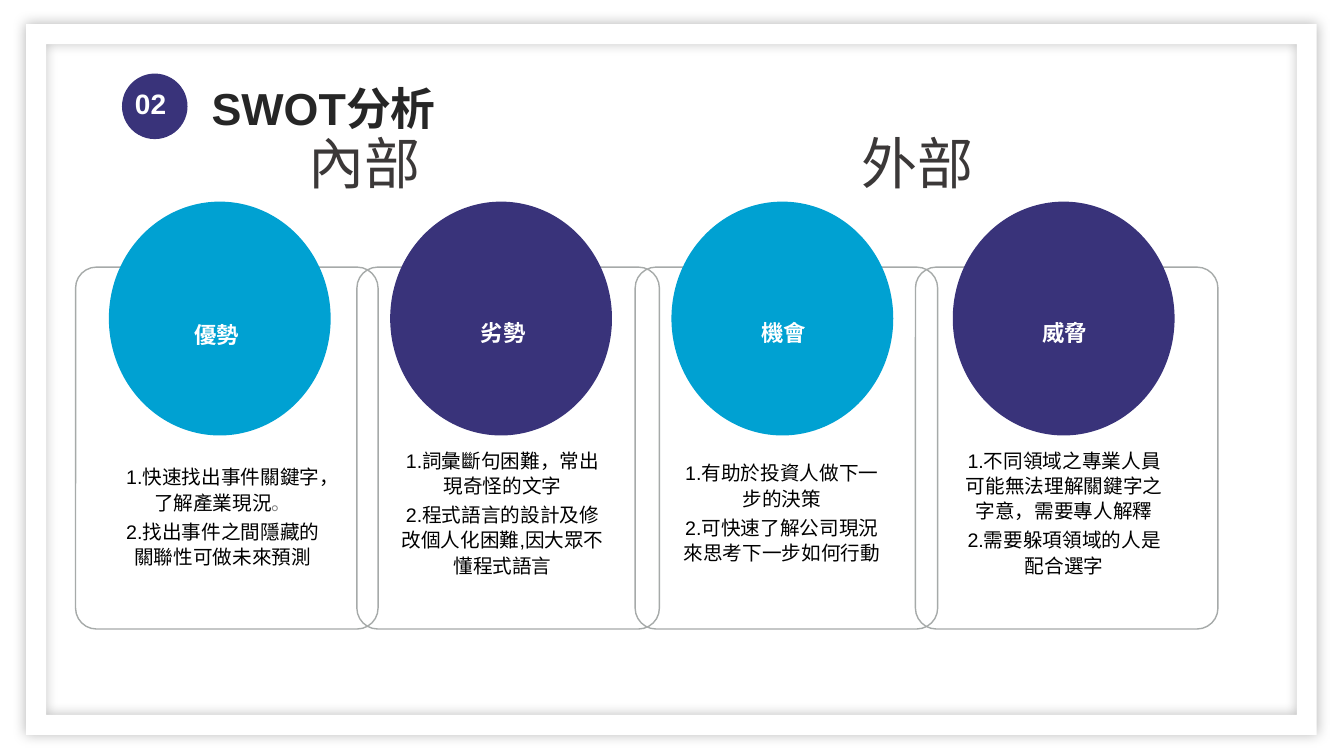
"""Builds the SWOT analysis slide with four overlapping cards."""
from dataclasses import dataclass

from lxml import etree
from pptx import Presentation
from pptx import util as u
from pptx.dml.color import RGBColor
from pptx.enum import shapes, text
from pptx.oxml.ns import qn

EMU_PER_PX = 9144


@dataclass(frozen=True)
class Theme:
    navy: str = "39337A"
    cyan: str = "00A1D2"
    white: str = "FFFFFF"
    black: str = "000000"
    title: str = "262626"
    heading: str = "3B3838"
    card_line: str = "A6AAA9"
    full_stop: str = "808080"
    latin: str = "Arial"
    cjk: str = "Noto Sans CJK SC"
    title_size: int = 32
    number_size: int = 20
    heading_size: int = 40
    label_size: int = 16
    body_size: int = 14


THEME = Theme()


@dataclass(frozen=True)
class Box:
    left: int
    top: int
    width: int
    height: int

    def emu(self) -> tuple[int, ...]:
        return tuple(px * EMU_PER_PX for px in (self.left, self.top, self.width, self.height))


@dataclass(frozen=True)
class Style:
    size: int
    color: str
    bold: bool = False
    font: str = THEME.latin
    centered: bool = False
    line_spacing: float | u.Pt | None = None
    space_before: float = 0
    insets: tuple[int, int] = (10, 5)


@dataclass(frozen=True)
class Aspect:
    label: str
    color: str
    card_left: int
    label_box: Box
    label_spacing: float | None
    body_box: Box
    points: tuple[str, str]


TITLE = Style(THEME.title_size, THEME.title, bold=True, line_spacing=1.2)
NUMBER = Style(THEME.number_size, THEME.white, bold=True)
HEADING = Style(THEME.heading_size, THEME.heading, font=THEME.cjk)
BODY = Style(THEME.body_size, THEME.black, centered=True, line_spacing=u.Pt(18),
             space_before=2.8, insets=(13, 7))

ASPECTS = (
    Aspect("優勢", THEME.cyan, 75, Box(104, 292, 222, 79), None, Box(105, 434, 232, 156),
           ("1.快速找出事件關鍵字，了解產業現況。", "2.找出事件之間隱藏的關聯性可做未來預測")),
    Aspect("劣勢", THEME.navy, 354, Box(396, 292, 206, 79), 0.9, Box(380, 430, 237, 156),
           ("1.詞彙斷句困難，常出現奇怪的文字",
            "2.程式語言的設計及修改個人化困難,因大眾不懂程式語言")),
    Aspect("機會", THEME.cyan, 630, Box(674, 292, 206, 79), 0.9, Box(657, 430, 237, 156),
           ("1.有助於投資人做下一步的決策", "2.可快速了解公司現況來思考下一步如何行動")),
    Aspect("威脅", THEME.navy, 908, Box(953, 292, 206, 79), 0.9, Box(937, 430, 237, 156),
           ("1.不同領域之專業人員可能無法理解關鍵字之字意，需要專人解釋",
            "2.需要躲項領域的人是配合選字")),
)


def add_panel(slide, kind, box: Box, fill: str | None = None, line: str | None = None,
              adjustment: float | None = None):
    """Add a preset shape with an optional fill, outline and adjustment."""
    panel = slide.shapes.add_shape(kind, *box.emu())
    panel.shadow.inherit = False
    if adjustment is not None:
        panel.adjustments[0] = adjustment
    if fill:
        panel.fill.solid()
        panel.fill.fore_color.rgb = RGBColor.from_string(fill)
    else:
        panel.fill.background()
    if line:
        panel.line.color.rgb = RGBColor.from_string(line)
        panel.line.width = u.Pt(1)
    else:
        panel.line.fill.background()
    return panel


def add_glow_shadow(panel) -> None:
    """Give a shape a soft black shadow spread evenly around it."""
    effects = panel._element.spPr.find(qn("a:effectLst"))
    shadow = etree.SubElement(effects, qn("a:outerShdw"), blurRad=str(u.Pt(9)), dist="0",
                              dir="0", algn="ctr", rotWithShape="0")
    color = etree.SubElement(shadow, qn("a:srgbClr"), val=THEME.black)
    etree.SubElement(color, qn("a:alpha"), val="27000")


def add_text(slide, box: Box, style: Style, *lines: str, middle: bool = False) -> None:
    """Add a wrapped text box with one paragraph per line."""
    frame = slide.shapes.add_textbox(*box.emu()).text_frame
    frame.word_wrap = True
    frame.auto_size = (text.MSO_AUTO_SIZE.NONE if middle
                       else text.MSO_AUTO_SIZE.SHAPE_TO_FIT_TEXT)
    frame.vertical_anchor = text.MSO_ANCHOR.MIDDLE if middle else text.MSO_ANCHOR.TOP
    across, down = (px * EMU_PER_PX for px in style.insets)
    frame.margin_left = frame.margin_right = across
    frame.margin_top = frame.margin_bottom = down
    for index, line in enumerate(lines):
        paragraph = frame.add_paragraph() if index else frame.paragraphs[0]
        if style.centered:
            paragraph.alignment = text.PP_ALIGN.CENTER
        if style.line_spacing:
            paragraph.line_spacing = style.line_spacing
        if index:
            paragraph.space_before = u.Pt(style.space_before)
        paragraph.font.size = u.Pt(style.size)
        paragraph.font.bold = style.bold
        paragraph.font.name = style.font
        paragraph.font.color.rgb = RGBColor.from_string(style.color)
        if style.font == THEME.cjk:
            defaults = paragraph._p.pPr.find(qn("a:defRPr"))
            etree.SubElement(defaults, qn("a:ea"), typeface=style.font)
        paragraph.add_run().text = line.removesuffix("。")
        if line.endswith("。"):
            full_stop = paragraph.add_run()
            full_stop.text = "。"
            full_stop.font.color.rgb = RGBColor.from_string(THEME.full_stop)


def main() -> None:
    """Draw the slide and save it."""
    deck = Presentation()
    deck.slide_width, deck.slide_height = 1333 * EMU_PER_PX, 750 * EMU_PER_PX
    slide = deck.slides.add_slide(deck.slide_layouts[6])
    preset = shapes.MSO_SHAPE

    border = add_panel(slide, preset.FRAME, Box(26, 24, 1280, 705), THEME.white,
                       adjustment=0.028)
    add_glow_shadow(border)
    add_text(slide, Box(200, 64, 319, 70), TITLE, "SWOT分析")
    add_panel(slide, preset.OVAL, Box(121, 73, 65, 65), THEME.navy)
    add_text(slide, Box(124, 81, 62, 44), NUMBER, "02")

    for aspect in ASPECTS:
        add_panel(slide, preset.ROUNDED_RECTANGLE, Box(aspect.card_left, 265, 300, 359),
                  line=THEME.card_line, adjustment=0.069)
    for column, aspect in enumerate(ASPECTS):
        add_panel(slide, preset.OVAL, Box(108 + 279 * column, 200, 220, 232), aspect.color)
        label = Style(THEME.label_size, THEME.white, bold=True, centered=True,
                      line_spacing=aspect.label_spacing, insets=(0, 0))
        add_text(slide, aspect.label_box, label, aspect.label, middle=True)
        add_text(slide, aspect.body_box, BODY, *aspect.points, middle=True)

    for left, heading in ((296, "內部"), (845, "外部")):
        add_text(slide, Box(left, 123, 135, 77), HEADING, heading)
    deck.save("out.pptx")


if __name__ == "__main__":
    main()
